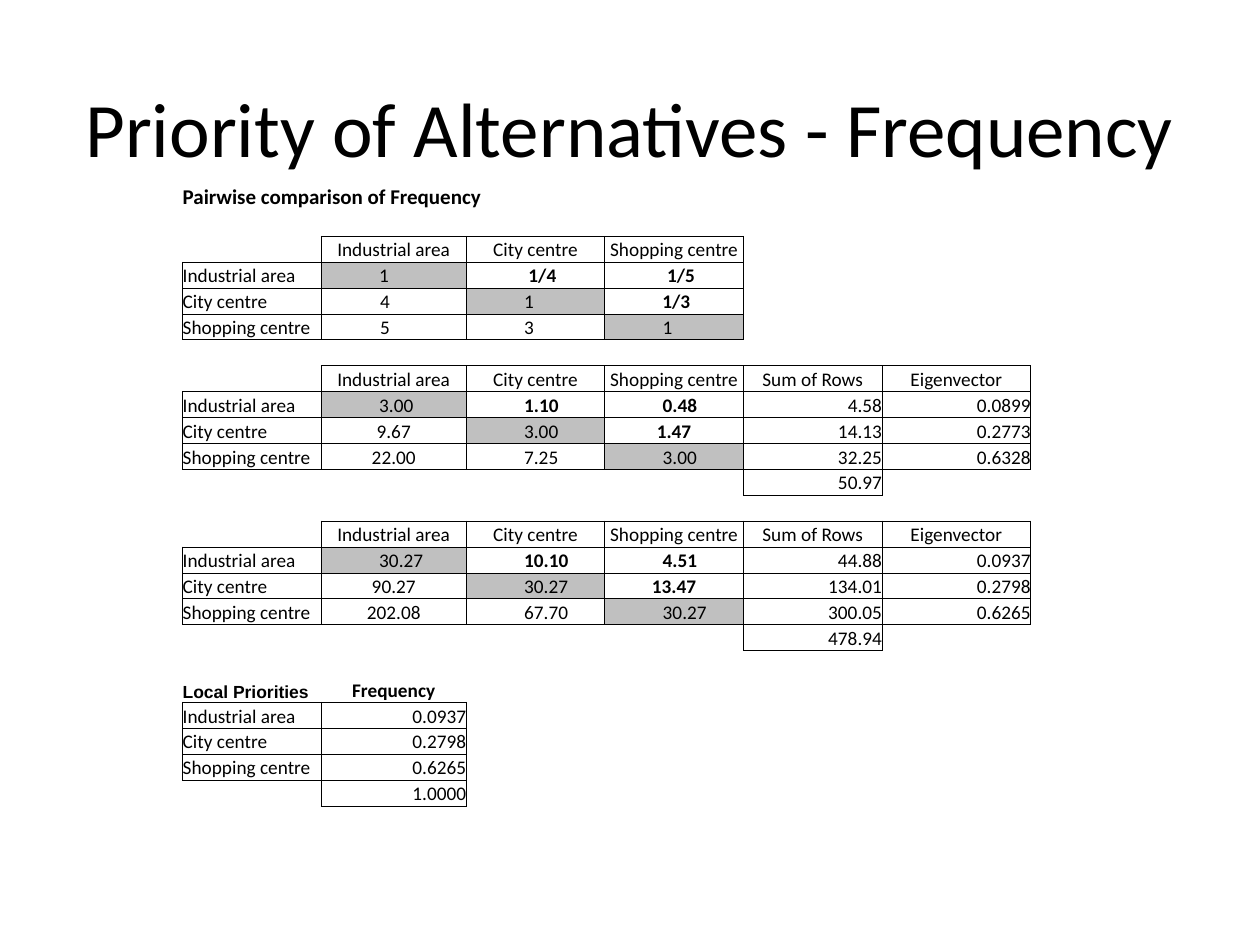
from lxml import etree
from pptx import Presentation
from pptx.dml.color import RGBColor
from pptx.enum.text import MSO_ANCHOR, PP_ALIGN
from pptx.oxml.ns import qn
from pptx.util import Inches, Pt

LEFT, CENTER, RIGHT = PP_ALIGN.LEFT, PP_ALIGN.CENTER, PP_ALIGN.RIGHT
MIDDLE, BOTTOM = MSO_ANCHOR.MIDDLE, MSO_ANCHOR.BOTTOM

TITLE = "Priority of Alternatives - Frequency"
SUBTITLE = "Pairwise comparison of Frequency"
AREAS = ["Industrial area", "City centre", "Shopping centre"]
RESULT_HEADS = ["Sum of Rows", "Eigenvector"]
MATRICES = [
    {"row": 2,
     "values": [["1", " 1/4", " 1/5"], ["4", "1", " 1/3"], ["5", "3", "1"]]},
    {"row": 7,
     "values": [["3.00", "1.10", "0.48"], ["9.67", "3.00", "1.47"], ["22.00", "7.25", "3.00"]],
     "results": [["4.58", "0.0899"], ["14.13", "0.2773"], ["32.25", "0.6328"]],
     "total": "50.97"},
    {"row": 13,
     "values": [["30.27", "10.10", "4.51"], ["90.27", "30.27", "13.47"], ["202.08", "67.70", "30.27"]],
     "results": [["44.88", "0.0937"], ["134.01", "0.2798"], ["300.05", "0.6265"]],
     "total": "478.94"},
]
PRIORITY_ROW = 19
PRIORITY_HEADS = ["Local Priorities", "Frequency"]
PRIORITIES = ["0.0937", "0.2798", "0.6265", "1.0000"]

THEME = {
    "font": "Calibri", "label_font": "Arial",
    "text": RGBColor(0, 0, 0), "diagonal": RGBColor(0xC0, 0xC0, 0xC0), "border": "000000",
    "title": 44, "subtitle": 12, "body": 11, "label": 10, "border_width": 0.5,
}
TABLE_STYLE = "{2D5ABB26-0587-4C30-8999-92F81FD0307C}"
COL_WIDTHS = [1.1, 1.15, 1.1, 1.1, 1.1, 1.18]
ROW_COUNT, FIRST_ROW, TABLE_HEIGHT = 24, 0.22, 4.95
INDENT, INTEGER_INSET = 0.46, 0.14
SIDES = {"lnL": (0, -1), "lnR": (0, 1), "lnT": (-1, 0), "lnB": (1, 0)}


def add_run(p, text, size, font=THEME["font"], bold=False):
    r = p.add_run()
    r.text = text
    r.font.size = Pt(size)
    r.font.name = font
    r.font.bold = bold
    r.font.color.rgb = THEME["text"]


def write(table, pos, text, align=LEFT, left=0, right=0, fill=None, size=THEME["body"], **style):
    cell = table.cell(*pos)
    cell.margin_left, cell.margin_right = Inches(left), Inches(right)
    p = cell.text_frame.paragraphs[0]
    p.alignment = align
    add_run(p, text, size, **style)
    if fill:
        cell.fill.solid()
        cell.fill.fore_color.rgb = fill


def write_matrix(table, matrix):
    top = matrix["row"]
    results = matrix.get("results", [[], [], []])
    heads = AREAS + (RESULT_HEADS if "total" in matrix else [])
    boxed = set()
    for col, head in enumerate(heads, 1):
        write(table, (top, col), head, CENTER)
        boxed.add((top, col))
    for i, area in enumerate(AREAS):
        row = top + 1 + i
        write(table, (row, 0), area)
        for j, value in enumerate(matrix["values"][i]):
            centred = (j == 0 and i > 0) or (i, j) == (1, 2)
            write(table, (row, j + 1), value, CENTER if centred else LEFT,
                  left=0 if centred else INDENT,
                  right=INTEGER_INSET if centred and value.isdigit() else 0,
                  fill=THEME["diagonal"] if i == j else None, bold=j > i)
        for col, value in enumerate(results[i], 4):
            write(table, (row, col), value, RIGHT)
        boxed.update((row, col) for col in range(len(heads) + 1))
    if "total" in matrix:
        write(table, (top + 4, 4), matrix["total"], RIGHT)
        boxed.add((top + 4, 4))
    return boxed


def write_priorities(table):
    label, head = PRIORITY_HEADS
    write(table, (PRIORITY_ROW, 0), label, size=THEME["label"], font=THEME["label_font"], bold=True)
    write(table, (PRIORITY_ROW, 1), head, CENTER, bold=True)
    boxed = set()
    for row, value in enumerate(PRIORITIES, PRIORITY_ROW + 1):
        write(table, (row, 1), value, RIGHT)
        boxed.add((row, 1))
    for row, area in enumerate(AREAS, PRIORITY_ROW + 1):
        write(table, (row, 0), area)
        boxed.add((row, 0))
    return boxed


def draw_borders(cell, pos, boxed):
    tc_pr = cell.fill._xPr
    index = 0
    for tag, (dr, dc) in SIDES.items():
        ln = etree.Element(qn("a:" + tag), w=str(Pt(THEME["border_width"])))
        if pos in boxed or (pos[0] + dr, pos[1] + dc) in boxed:
            solid = etree.SubElement(ln, qn("a:solidFill"))
            etree.SubElement(solid, qn("a:srgbClr"), val=THEME["border"])
        else:
            etree.SubElement(ln, qn("a:noFill"))
        tc_pr.insert(index, ln)
        index += 1


def add_grid(s):
    frame = s.shapes.add_table(ROW_COUNT, len(COL_WIDTHS), Inches(1.45), Inches(1.45),
                               Inches(sum(COL_WIDTHS)), Inches(TABLE_HEIGHT))
    table = frame.table
    table.first_row = table.horz_banding = False
    next(frame.element.iter(qn("a:tableStyleId"))).text = TABLE_STYLE
    for col, width in zip(table.columns, COL_WIDTHS):
        col.width = Inches(width)
    for row in table.rows:
        row.height = Inches((TABLE_HEIGHT - FIRST_ROW) / (ROW_COUNT - 1))
    table.rows[0].height = Inches(FIRST_ROW)
    for cell in table.iter_cells():
        cell.margin_left = cell.margin_right = cell.margin_top = cell.margin_bottom = 0
        cell.vertical_anchor = BOTTOM
        cell.fill.background()

    table.cell(0, 0).merge(table.cell(0, 2))
    write(table, (0, 0), SUBTITLE, size=THEME["subtitle"], bold=True)
    boxed = write_priorities(table)
    for matrix in MATRICES:
        boxed |= write_matrix(table, matrix)

    for index, cell in enumerate(table.iter_cells()):
        draw_borders(cell, divmod(index, len(COL_WIDTHS)), boxed)
        if not cell.text:
            p = cell.text_frame.paragraphs[0]
            etree.SubElement(p._p, qn("a:endParaRPr"), sz=str(THEME["body"] * 100))


def add_title(s):
    tf = s.shapes.add_textbox(Inches(0.5), Inches(0.38), Inches(9), Inches(1.25)).text_frame
    tf.word_wrap = True
    tf.vertical_anchor = MIDDLE
    p = tf.paragraphs[0]
    p.alignment = CENTER
    add_run(p, TITLE, THEME["title"])


def main():
    prs = Presentation()
    prs.slide_width, prs.slide_height = Inches(10), Inches(7.5)
    s = prs.slides.add_slide(prs.slide_layouts[6])
    add_title(s)
    add_grid(s)
    prs.save("out.pptx")


if __name__ == "__main__":
    main()
